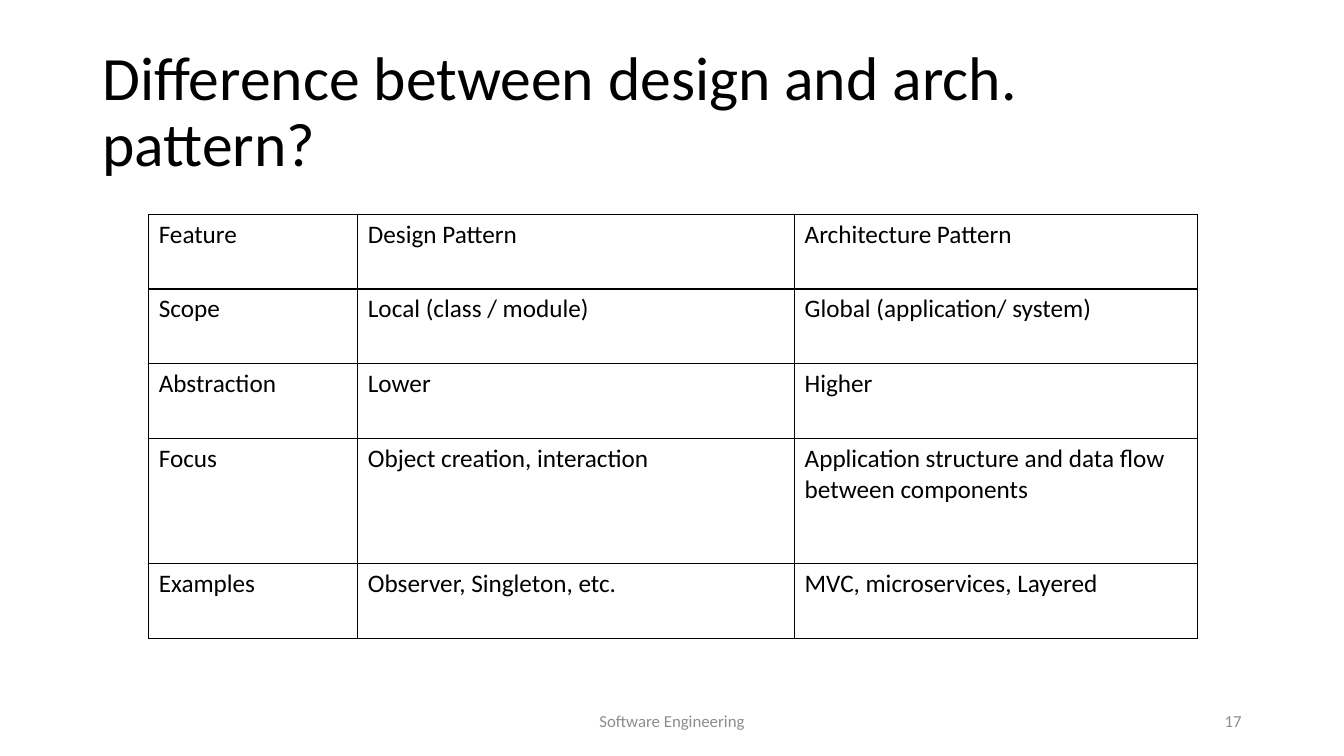
"""Build a slide comparing design patterns with architecture patterns."""

from dataclasses import dataclass

import lxml.etree
import pptx
import pptx.dml.color
import pptx.enum.text
import pptx.oxml.ns
import pptx.slide
import pptx.table
import pptx.text.text
import pptx.util

Align = pptx.enum.text.PP_ALIGN
Anchor = pptx.enum.text.MSO_ANCHOR


@dataclass(frozen=True)
class Theme:
    font: str = "Calibri"
    ink: str = "000000"
    muted: str = "8C8C8C"
    title_size: int = 44
    cell_size: int = 18
    footer_size: int = 12
    border_width: int = 1


@dataclass(frozen=True)
class Area:
    column: float
    row: float
    columns: float
    rows: float


@dataclass(frozen=True)
class FooterItem:
    text: str
    area: Area
    align: Align


THEME = Theme()
SLIDE_WIDTH = pptx.util.Inches(13.33)
SLIDE_HEIGHT = pptx.util.Inches(7.5)
GRID_COLUMNS, GRID_ROWS = 160, 90

TITLE = "Difference between design and arch. pattern?"
TITLE_AREA = Area(11, 4.8, 138, 17.4)
FOOTER = (
    FooterItem("17", Area(113, 83.4, 36, 4.8), Align.RIGHT),
    FooterItem("Software Engineering", Area(53, 83.4, 54, 4.8), Align.CENTER),
)

COLUMN_SPANS = (24.9, 52, 48)
ROW_SPANS = (8.9, 8.9, 8.9, 14.9, 8.9)
TABLE_AREA = Area(17.7, 25.5, sum(COLUMN_SPANS), sum(ROW_SPANS))
COMPARISON = (
    ("Feature", "Design Pattern", "Architecture Pattern"),
    ("Scope", "Local (class / module)", "Global (application/ system)"),
    ("Abstraction", "Lower", "Higher"),
    (
        "Focus",
        "Object creation, interaction",
        "Application structure and data flow between components",
    ),
    ("Examples", "Observer, Singleton, etc.", "MVC, microservices, Layered"),
)


def across(columns: float) -> int:
    """Convert grid columns to a length."""
    return round(SLIDE_WIDTH * columns / GRID_COLUMNS)


def down(rows: float) -> int:
    """Convert grid rows to a length."""
    return round(SLIDE_HEIGHT * rows / GRID_ROWS)


def bounds(area: Area) -> tuple[int, int, int, int]:
    """Return left, top, width and height of an area."""
    return across(area.column), down(area.row), across(area.columns), down(area.rows)


def write(
    frame: pptx.text.text.TextFrame,
    text: str,
    size: int,
    color: str,
    align: Align = Align.LEFT,
) -> pptx.text.text._Paragraph:
    """Write one formatted run into the first paragraph of a frame."""
    para = frame.paragraphs[0]
    para.alignment = align
    span = para.add_run()
    span.text = text
    span.font.name = THEME.font
    span.font.size = pptx.util.Pt(size)
    span.font.color.rgb = pptx.dml.color.RGBColor.from_string(color)
    return para


def add_title(page: pptx.slide.Slide) -> None:
    """Place and format the title placeholder."""
    title = page.shapes.title
    title.left, title.top, title.width, title.height = bounds(TITLE_AREA)
    frame = title.text_frame
    frame.word_wrap = True
    frame.auto_size = pptx.enum.text.MSO_AUTO_SIZE.NONE
    frame.vertical_anchor = Anchor.MIDDLE
    para = write(frame, TITLE, THEME.title_size, THEME.ink)
    para.line_spacing = 0.9


def add_footer_item(page: pptx.slide.Slide, item: FooterItem) -> None:
    """Add one line of footer text."""
    frame = page.shapes.add_textbox(*bounds(item.area)).text_frame
    frame.word_wrap = True
    frame.vertical_anchor = Anchor.MIDDLE
    write(frame, item.text, THEME.footer_size, THEME.muted, item.align)


def add_borders(cell: pptx.table._Cell) -> None:
    """Draw a solid line on all four sides of a cell."""
    qn = pptx.oxml.ns.qn
    properties = cell._tc.get_or_add_tcPr()
    for position, side in enumerate(("a:lnL", "a:lnR", "a:lnT", "a:lnB")):
        line = lxml.etree.Element(qn(side), w=str(pptx.util.Pt(THEME.border_width)))
        fill = lxml.etree.SubElement(line, qn("a:solidFill"))
        lxml.etree.SubElement(fill, qn("a:srgbClr"), val=THEME.ink)
        properties.insert(position, line)


def add_comparison(page: pptx.slide.Slide) -> None:
    """Add the bordered comparison table."""
    table = page.shapes.add_table(
        len(ROW_SPANS), len(COLUMN_SPANS), *bounds(TABLE_AREA)
    ).table
    table.first_row = False
    table.horz_banding = False
    for column, span in zip(table.columns, COLUMN_SPANS):
        column.width = across(span)
    for row, span, texts in zip(table.rows, ROW_SPANS, COMPARISON):
        row.height = down(span)
        for cell, text in zip(row.cells, texts):
            cell.fill.background()
            add_borders(cell)
            write(cell.text_frame, text, THEME.cell_size, THEME.ink)


def main() -> None:
    """Build and save the deck."""
    deck = pptx.Presentation()
    deck.slide_width, deck.slide_height = SLIDE_WIDTH, SLIDE_HEIGHT
    page = deck.slides.add_slide(deck.slide_layouts.get_by_name("Title Only"))
    add_title(page)
    for item in FOOTER:
        add_footer_item(page, item)
    add_comparison(page)
    deck.save("out.pptx")


if __name__ == "__main__":
    main()
